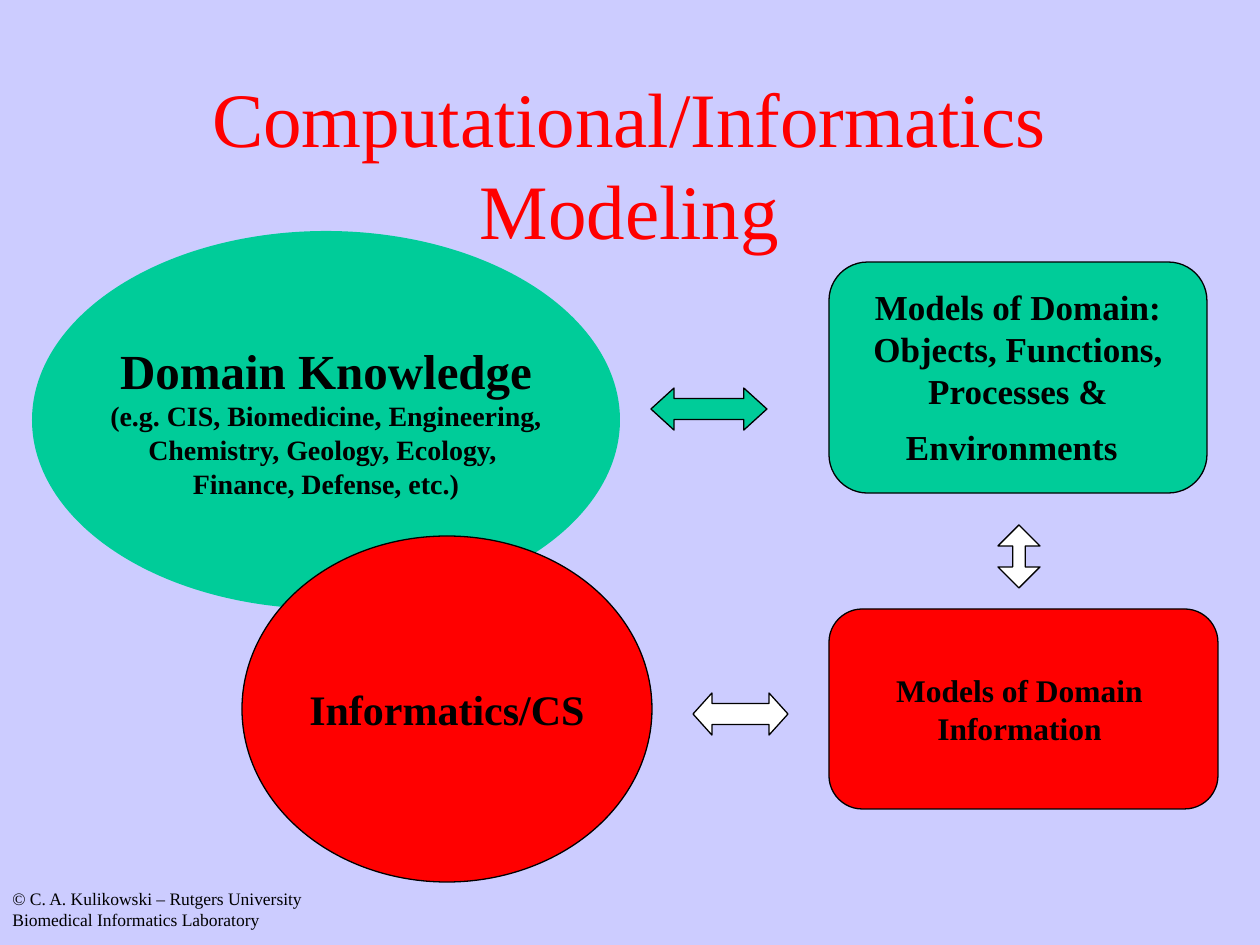
from pptx import Presentation
from pptx import util as u
from pptx.dml.color import RGBColor
from pptx.enum import shapes, text

PX = 914400 / 126  # EMU per px
FONT = "Times New Roman"
COLORS = {"page": "CCCCFF", "ink": "000000", "red": "FF0000",
          "green": "00CC99", "white": "FFFFFF"}
KIND = shapes.MSO_SHAPE

# Content: boxes are (left, top, width, height) in px
TITLE = ("Computational/Informatics Modeling", (94, 84, 1071, 158))
CREDIT = ("© C. A. Kulikowski – Rutgers University Biomedical Informatics Laboratory",
          (0, 882, 336, 63))

# kind, box, fill, outlined, wraps, paragraphs as lists of (words, size)
TOPICS = [
    (KIND.OVAL, (32, 231, 588, 378), "green", False, False, [
        [("Domain Knowledge", 28)],
        [("(e.g. CIS, Biomedicine, Engineering,", 16)],
        [("Chemistry, Geology, Ecology, ", 16)],
        [("Finance, Defense, etc.)", 16)]]),
    (KIND.OVAL, (242, 536, 410, 346), "red", True, False, [
        [("Informatics/CS", 24)]]),
    (KIND.ROUNDED_RECTANGLE, (829, 262, 378, 231), "green", True, True, [
        [("Models of Domain:", 20)],
        [("Objects, Functions,", 20)],
        [(" Processes & ", 20)],
        [("Environments", 20), (" ", 28)]]),
    (KIND.ROUNDED_RECTANGLE, (829, 609, 389, 200), "red", True, True, [
        [("Models of Domain ", 18)],
        [("Information ", 18)]]),
]

# kind, box, fill, head length
ARROWS = [
    (KIND.LEFT_RIGHT_ARROW, (651, 388, 116, 42), "green", 0.55),
    (KIND.LEFT_RIGHT_ARROW, (693, 693, 95, 42), "white", 0.45),
    (KIND.UP_DOWN_ARROW, (998, 525, 42, 63), "white", 0.3),
]


def color(name):
    return RGBColor.from_string(COLORS[name])


def emu(box):
    return [round(length * PX) for length in box]


def style(font, size, name="ink", bold=False):
    font.name, font.size, font.bold = FONT, u.Pt(size), bold
    font.color.rgb = color(name)


def add_shape(kind, box, fill, outlined=True):
    shape = page.shapes.add_shape(kind, *emu(box))
    shape.shadow.inherit = False
    shape.fill.solid()
    shape.fill.fore_color.rgb = color(fill)
    if outlined:
        shape.line.color.rgb = color("ink")
        shape.line.width = u.Pt(0.75)
    else:
        shape.line.fill.background()
    return shape


deck = Presentation()
deck.slide_width, deck.slide_height = u.Inches(10), u.Inches(7.5)
page = deck.slides.add_slide(deck.slide_layouts[5])
page.background.fill.solid()
page.background.fill.fore_color.rgb = color("page")

# Title
words, box = TITLE
title = page.shapes.title
title.left, title.top, title.width, title.height = emu(box)
frame = title.text_frame
frame.text = words
frame.auto_size = text.MSO_AUTO_SIZE.NONE
frame.vertical_anchor = text.MSO_ANCHOR.MIDDLE
frame.paragraphs[0].alignment = text.PP_ALIGN.CENTER
style(frame.paragraphs[0].runs[0].font, 44, "red")

# Credit line
words, box = CREDIT
frame = page.shapes.add_textbox(*emu(box)).text_frame
frame.word_wrap = True
frame.text = words
style(frame.paragraphs[0].runs[0].font, 10)

# Topics
for kind, box, fill, outlined, wraps, paragraphs in TOPICS:
    frame = add_shape(kind, box, fill, outlined).text_frame
    frame.word_wrap = wraps
    frame.vertical_anchor = text.MSO_ANCHOR.MIDDLE
    for number, spans in enumerate(paragraphs):
        para = frame.add_paragraph() if number else frame.paragraphs[0]
        para.alignment = text.PP_ALIGN.CENTER
        for words, size in spans:
            span = para.add_run()
            span.text = words
            style(span.font, size, bold=True)

# Arrows between topics
for kind, box, fill, head in ARROWS:
    arrow = add_shape(kind, box, fill)
    arrow.adjustments[0] = 0.5
    arrow.adjustments[1] = head

deck.save("out.pptx")
